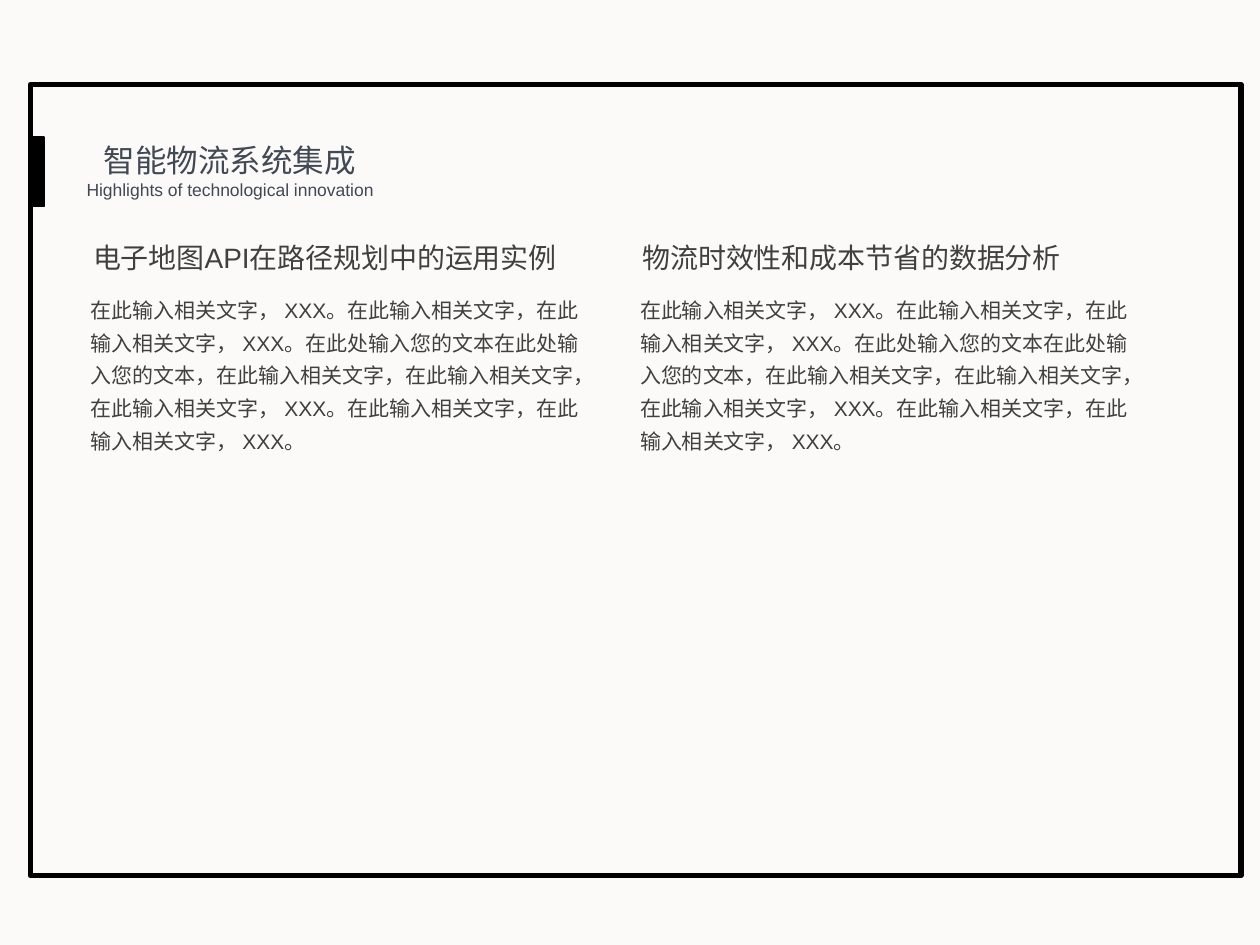
"""Build a slide with a framed title and two text columns."""
from dataclasses import dataclass

from pptx import Presentation
from pptx import util as u
from pptx.dml.color import RGBColor
from pptx.enum import shapes, text


@dataclass(frozen=True)
class Theme:
    """Hold the colours, font and type sizes."""
    paper: str = "FBFAF8"
    ink: str = "000000"
    slate: str = "414954"
    grey: str = "404040"
    font: str = "Arial"
    title: float = 18
    sub: float = 10
    head: float = 16
    body: float = 12


LOOK = Theme()
WIDE, HIGH = 10, 7.5
LEFT, STEP = 0.64, 4.36
HEADS = ["电子地图API在路径规划中的运用实例", "物流时效性和成本节省的数据分析"]
BODY = (
    "在此输入相关文字， XXX。在此输入相关文字，在此输入相关文字， XXX。"
    "在此处输入您的文本在此处输入您的文本，在此输入相关文字，在此输入相关文字，"
    "在此输入相关文字， XXX。在此输入相关文字，在此输入相关文字， XXX。"
)


def tint(code):
    """Turn a hex code into a colour."""
    return RGBColor.from_string(code)


def style(para, size, hue, align=text.PP_ALIGN.LEFT, space=1.0):
    """Format a paragraph and its runs."""
    para.alignment = align
    para.line_spacing = space
    for run in para.runs:
        run.font.name = LOOK.font
        run.font.size = u.Pt(size)
        run.font.color.rgb = tint(hue)


def setup(frame, side=0.1, edge=0.05):
    """Set wrapping, anchor and insets of a text frame."""
    frame.word_wrap = True
    frame.auto_size = text.MSO_AUTO_SIZE.NONE
    frame.vertical_anchor = text.MSO_ANCHOR.TOP
    frame.margin_left = frame.margin_right = u.Inches(side)
    frame.margin_top = frame.margin_bottom = u.Inches(edge)


def title(slide, box, main_line, sub_line):
    """Fill the title placeholder with a title and a subtitle."""
    shape = slide.shapes.title
    shape.left, shape.top, shape.width, shape.height = map(u.Inches, box)
    frame = shape.text_frame
    frame.text = f"{main_line}\n{sub_line}"
    setup(frame)
    for para, size in zip(frame.paragraphs, (LOOK.title, LOOK.sub)):
        style(para, size, LOOK.slate, text.PP_ALIGN.CENTER)


def label(slide, box, words, size, space=1.0, **inset):
    """Add a text box with one paragraph."""
    frame = slide.shapes.add_textbox(*map(u.Inches, box)).text_frame
    frame.text = words
    setup(frame, **inset)
    style(frame.paragraphs[0], size, LOOK.grey, space=space)


def column(slide, index, head):
    """Add a heading and its body text in a column."""
    left = LEFT + index * STEP
    label(slide, (left, 1.86, 4.7, 0.37), head, LOOK.head)
    label(slide, (left, 2.26, 4.15, 3.5), BODY, LOOK.body, 1.3, side=0.08, edge=0.04)


def block(slide, box, weight, solid=False):
    """Add an outlined rectangle, filled if solid."""
    shape = slide.shapes.add_shape(shapes.MSO_SHAPE.RECTANGLE, *map(u.Inches, box))
    shape.shadow.inherit = False
    if solid:
        shape.fill.solid()
        shape.fill.fore_color.rgb = tint(LOOK.ink)
    else:
        shape.fill.background()
    shape.line.color.rgb = tint(LOOK.ink)
    shape.line.width = u.Pt(weight)


def main():
    """Build and save the slide."""
    deck = Presentation()
    deck.slide_width, deck.slide_height = u.Inches(WIDE), u.Inches(HIGH)
    slide = deck.slides.add_slide(deck.slide_layouts.get_by_name("Title Only"))
    slide.background.fill.solid()
    slide.background.fill.fore_color.rgb = tint(LOOK.paper)
    title(slide, (0, 1.07, 3.65, 0.57), "智能物流系统集成",
          "Highlights of technological innovation")
    for index, head in enumerate(HEADS):
        column(slide, index, head)
    block(slide, (0.24, 0.67, 9.61, 6.28), 3)
    block(slide, (0.24, 1.09, 0.11, 0.55), 1, solid=True)
    deck.save("out.pptx")


if __name__ == "__main__":
    main()
